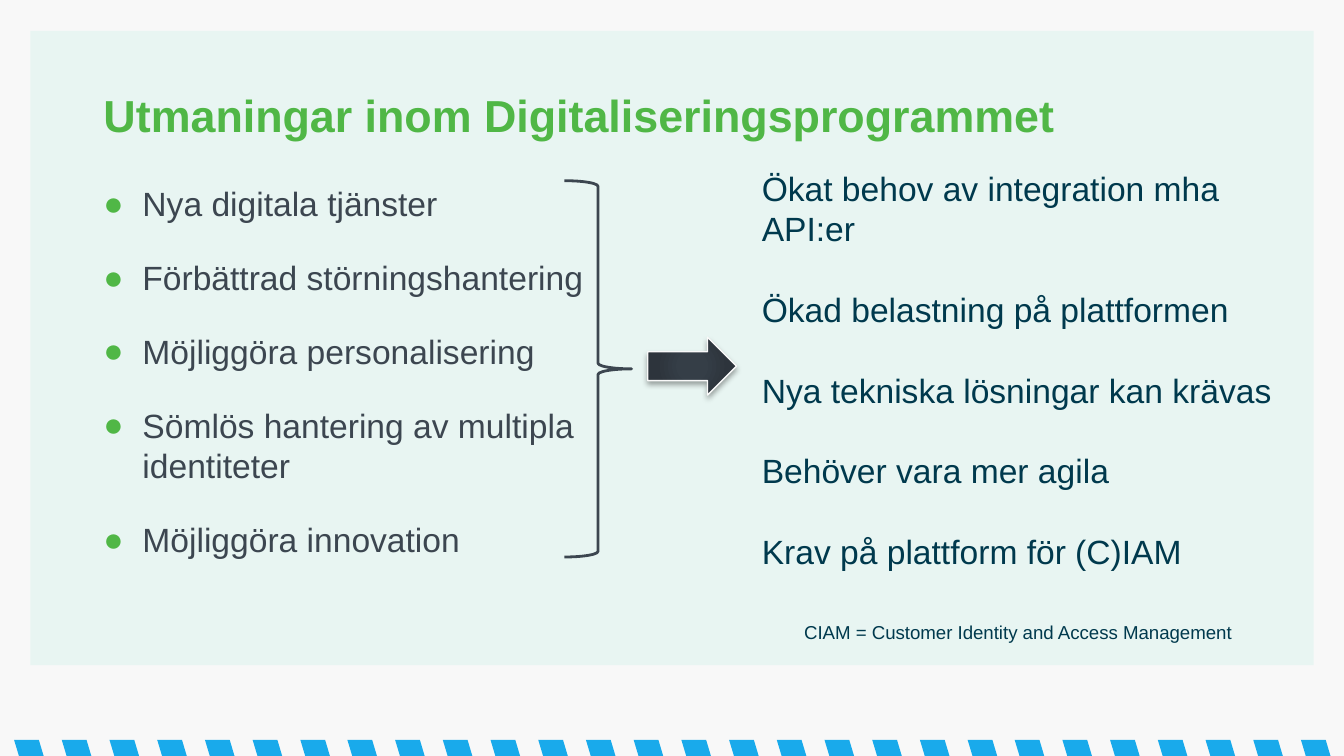
from lxml import etree
from pptx import Presentation
from pptx import util as u
from pptx.dml.color import RGBColor
from pptx.enum import shapes, text
from pptx.oxml import parse_xml
from pptx.oxml.ns import nsdecls, qn

PX = 4572  # EMU per px, 200 px to the inch
THEME = {
    "font": "Arial",
    "page": "F8F8F8", "panel": "E8F5F2", "stripe": "19AAEB",
    "green": "50B746", "slate": "3C4650", "navy": "00394D", "edge": "F9F9F9",
    "title": 24, "body": 18, "note": 10,
}
SHAPE = shapes.MSO_SHAPE


def add_shape(kind, x, y, w, h, fill=None, line=None, width=1):
    sp = s.shapes.add_shape(kind, x * PX, y * PX, w * PX, h * PX)
    sp.shadow.inherit = False
    if fill:
        sp.fill.solid()
        sp.fill.fore_color.rgb = RGBColor.from_string(THEME[fill])
    else:
        sp.fill.background()
    if line:
        sp.line.color.rgb = RGBColor.from_string(THEME[line])
        sp.line.width = u.Pt(width)
    else:
        sp.line.fill.background()
    return sp


def write(sp, lines, size, color, bold=False, gap=0):
    tf = sp.text_frame
    tf.text = "\n".join(lines)
    for i, p in enumerate(tf.paragraphs):
        p.alignment = text.PP_ALIGN.LEFT
        p.space_before = u.Pt(gap if i else 0)
        for r in p.runs:
            r.font.name = THEME["font"]
            r.font.size = u.Pt(THEME[size])
            r.font.bold = bold
            r.font.color.rgb = RGBColor.from_string(THEME[color])
    return tf


prs = Presentation()
prs.slide_width, prs.slide_height = 2000 * PX, 1125 * PX
s = prs.slides.add_slide(prs.slide_layouts[5])
s.background.fill.solid()
s.background.fill.fore_color.rgb = RGBColor.from_string(THEME["page"])

# Striped footer and panel
STRIPES, FIRST, LAST = 28, 21, 1936
for i in range(STRIPES):
    x = FIRST + round(i * (LAST - FIRST) / (STRIPES - 1))
    sp = add_shape(SHAPE.PARALLELOGRAM, x, 1101, 44, 24, "stripe")
    sp.adjustments[0] = 0.3
    sp._element.spPr.find(qn("a:xfrm")).set("flipH", "1")
panel = add_shape(SHAPE.RECTANGLE, 45, 46, 1910, 944, "panel")

# Title, brought in front of the panel
title = s.shapes.title
title.left, title.top, title.width, title.height = 154 * PX, 127 * PX, 1686 * PX, 86 * PX
panel._element.addnext(title._element)
tf = write(title, ["Utmaningar inom Digitaliseringsprogrammet"], "title", "green", bold=True)
tf.margin_left = tf.margin_right = tf.margin_top = tf.margin_bottom = 0
tf.vertical_anchor = text.MSO_ANCHOR.MIDDLE

# Bulleted challenges
sp = s.shapes.add_textbox(154 * PX, 263 * PX, 810 * PX, 700 * PX)
tf = write(sp, [
    "Nya digitala tjänster",
    "Förbättrad störningshantering",
    "Möjliggöra personalisering",
    "Sömlös hantering av multipla identiteter",
    "Möjliggöra innovation",
], "body", "slate", gap=18)
tf.word_wrap = True
tf.margin_left = 0
for p in tf.paragraphs:
    pPr = p._p.get_or_add_pPr()
    pPr.set("marL", str(58 * PX))
    pPr.set("indent", str(-58 * PX))
    color = etree.SubElement(pPr, qn("a:buClr"))
    etree.SubElement(color, qn("a:srgbClr"), val=THEME["green"])
    etree.SubElement(pPr, qn("a:buFont"), typeface=THEME["font"])
    etree.SubElement(pPr, qn("a:buChar"), char="●")

# Brace
add_shape(SHAPE.RIGHT_BRACE, 840, 269, 100, 560, line="slate", width=1.5)

# Consequences
sp = s.shapes.add_textbox(1114 * PX, 240 * PX, 808 * PX, 686 * PX)
tf = write(sp, [
    "Ökat behov av integration mha API:er",
    "Ökad belastning på plattformen",
    "Nya tekniska lösningar kan krävas",
    "Behöver vara mer agila",
    "Krav på plattform för (C)IAM",
], "body", "navy", gap=21.6)
tf.word_wrap = True

# Arrow with radial gradient and soft shadow
arrow = add_shape(SHAPE.RIGHT_ARROW, 964, 502, 132, 86, line="edge", width=0.75)
spPr = arrow._element.spPr
stops = "".join(
    f'<a:gs pos="{pos * 1000}"><a:srgbClr val="{c}"/></a:gs>'
    for pos, c in [(0, "353E47"), (23, "353E47"), (69, "2D343C"), (97, "2A3138")])
spPr.replace(spPr.find(qn("a:noFill")), parse_xml(
    f'<a:gradFill {nsdecls("a")}><a:gsLst>{stops}</a:gsLst><a:path path="circle">'
    '<a:fillToRect l="50000" t="50000" r="50000" b="50000"/></a:path></a:gradFill>'))
shadow = etree.SubElement(
    spPr.find(qn("a:effectLst")), qn("a:outerShdw"), blurRad=str(u.Pt(3.1)),
    dist=str(u.Pt(1.8)), dir="5400000", rotWithShape="0")
black = etree.SubElement(shadow, qn("a:srgbClr"), val="000000")
etree.SubElement(black, qn("a:alpha"), val="35000")

# Footnote
sp = s.shapes.add_textbox(1177 * PX, 914 * PX, 684 * PX, 54 * PX)
tf = write(sp, ["CIAM = Customer Identity and Access Management"], "note", "navy")
tf.word_wrap = False

prs.save("out.pptx")
